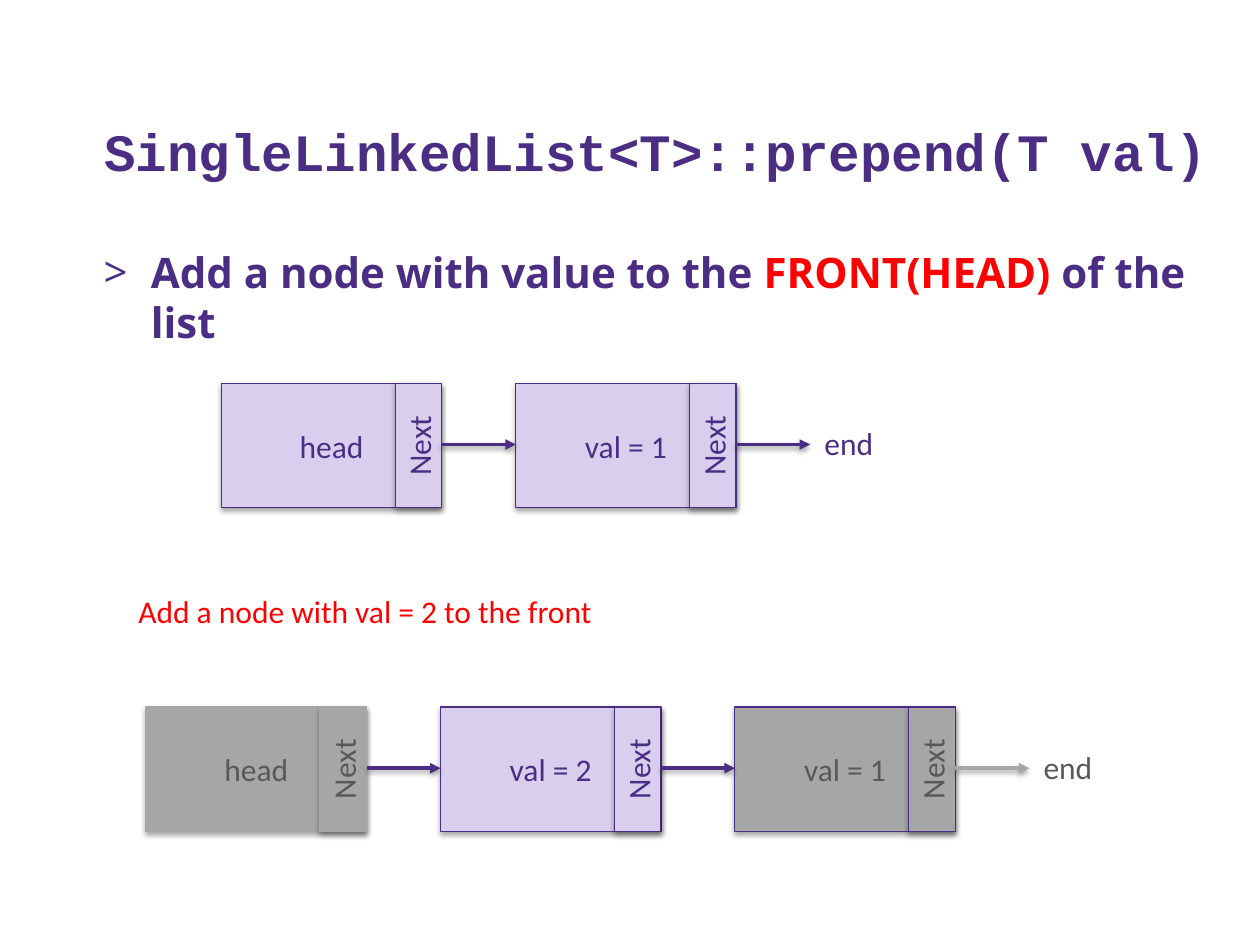
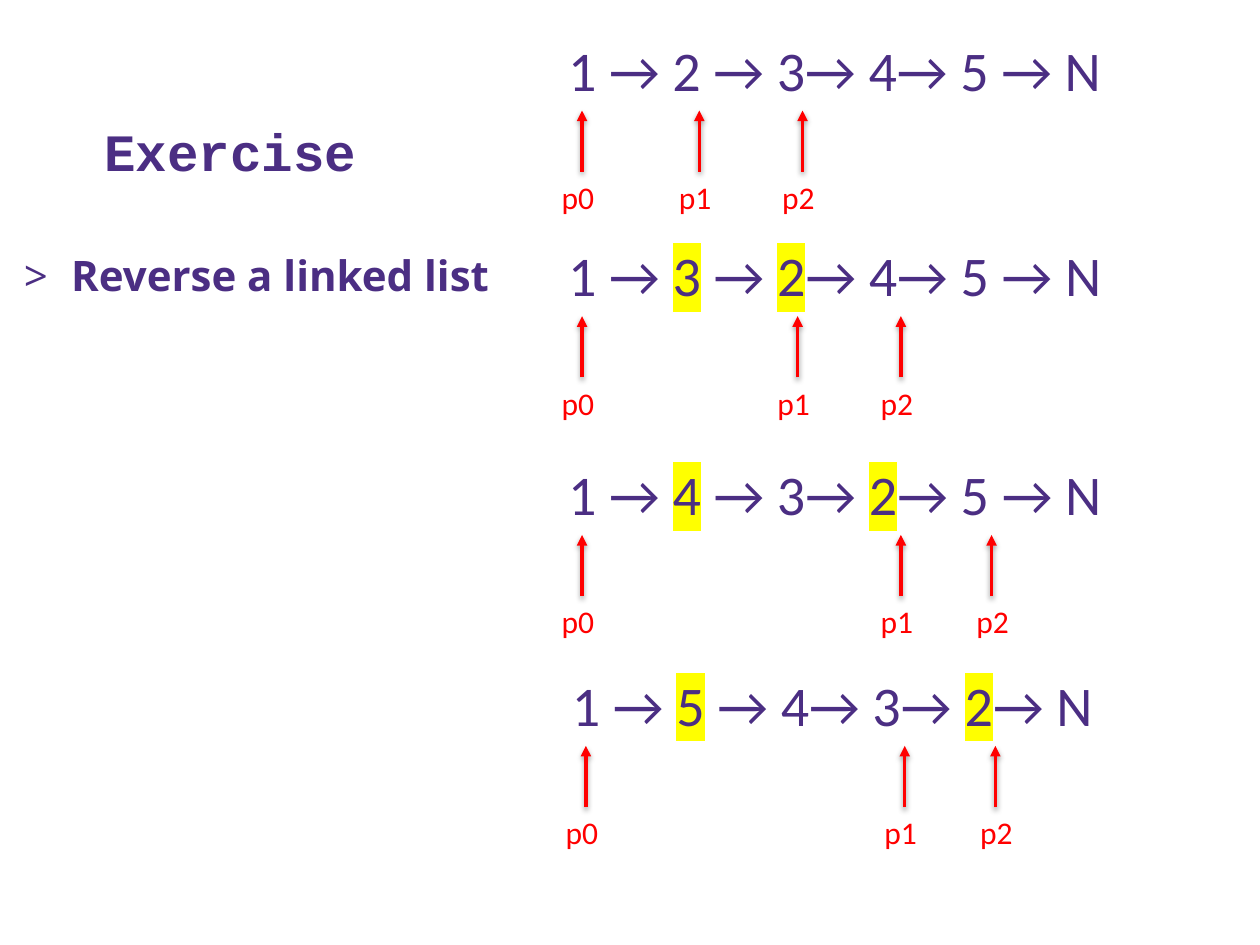
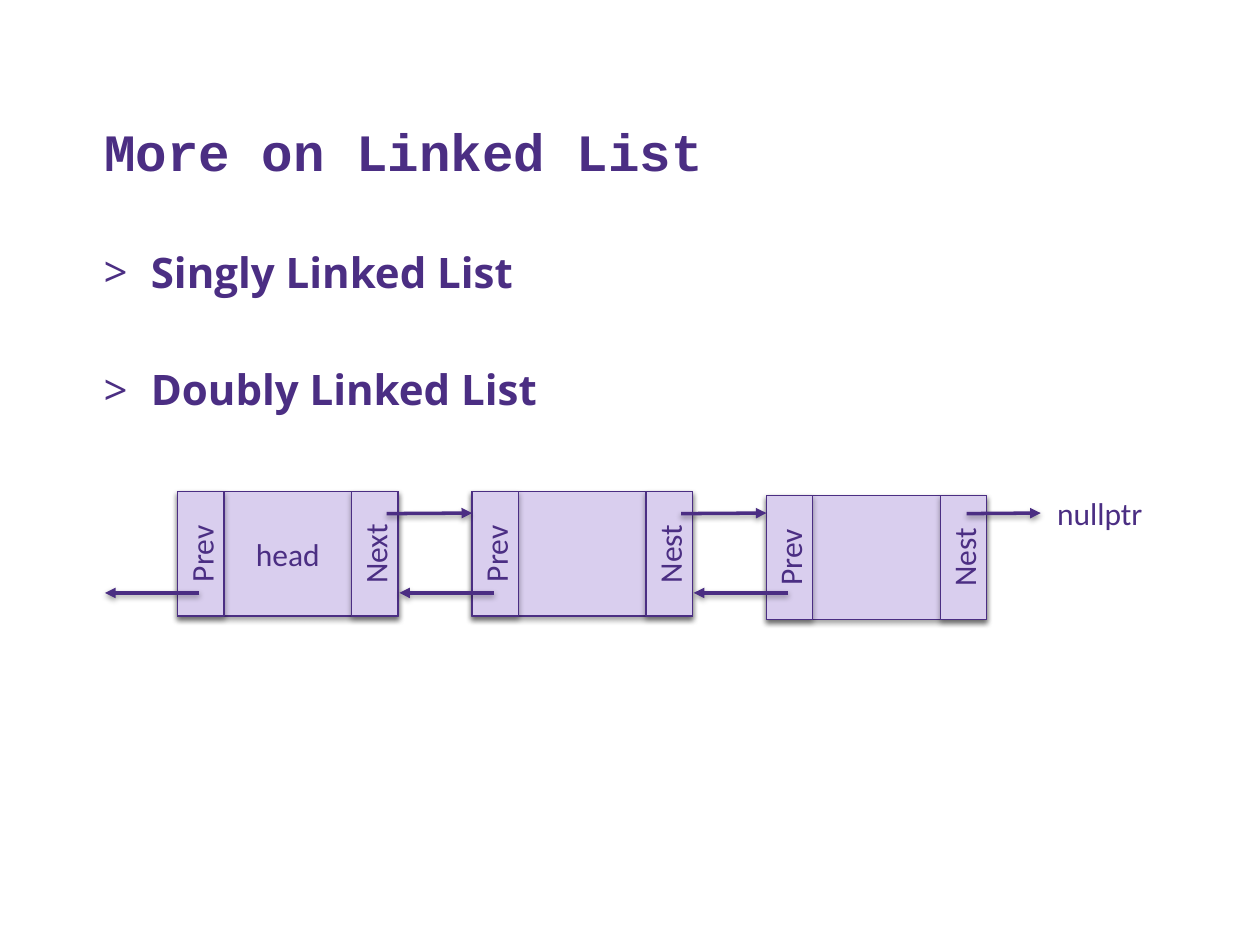
from dataclasses import dataclass

from lxml.etree import SubElement
from pptx import Presentation
from pptx.dml.color import RGBColor
from pptx.enum.shapes import MSO_CONNECTOR, MSO_SHAPE
from pptx.enum.text import MSO_ANCHOR, MSO_AUTO_SIZE, PP_ALIGN
from pptx.oxml.ns import qn
from pptx.util import Pt


@dataclass(frozen=True)
class Theme:
    purple: str = "4B2E83"
    lilac: str = "D9CEEE"
    red: str = "FF0000"
    yellow: str = "FFFF00"
    gray: str = "A6A6A6"
    dark_gray: str = "595959"
    title_font: str = "Courier New"
    list_font: str = "Open Sans"
    label_font: str = "Calibri"
    title_size: int = 30
    list_size: int = 24
    label_size: int = 18
    sequence_size: int = 32
    edge: float = 0.75
    arrow: float = 2


theme = Theme()


def write(para, text, size, ink, font=theme.label_font, bold=False, highlight=None):
    """Add text as runs; parts between bars are highlighted, or red without a highlight."""
    for index, part in enumerate(text.split("|")):
        marked = index % 2 == 1
        span = para.add_run()
        span.text = part
        span.font.size = Pt(size)
        span.font.bold = bold
        color = theme.red if marked and not highlight else ink
        span.font.fill.solid()
        span.font.fill.fore_color.rgb = RGBColor.from_string(color)
        if marked and highlight:
            mark = SubElement(span.font._element, qn("a:highlight"))
            SubElement(mark, qn("a:srgbClr"), val=highlight)
        span.font.name = font


deck = Presentation()
deck.slide_width, deck.slide_height = Pt(720), Pt(540)

# Titles and lists: title, bullets, left and top of the list
outlines = [
    ("SingleLinkedList<T>::prepend(T val)",
     ["Add a node with value to the |FRONT(HEAD)| of the list"], 52, 137),
    ("Exercise", ["Reverse a linked list"], 6.5, 139),
    ("More on Linked List", ["Singly Linked List", "Doubly Linked List"], 52, 137),
]
for heading, bullets, left, top in outlines:
    page = deck.slides.add_slide(deck.slide_layouts[1])
    title, body = page.placeholders
    title.left, title.top, title.width, title.height = Pt(52.5), Pt(29.5), Pt(645), Pt(78)
    title.text_frame.vertical_anchor = MSO_ANCHOR.BOTTOM
    title.text_frame.auto_size = MSO_AUTO_SIZE.NONE
    para = title.text_frame.paragraphs[0]
    para.alignment = PP_ALIGN.LEFT
    write(para, heading, theme.title_size, theme.purple, theme.title_font, True)

    body.left, body.top, body.width, body.height = Pt(left), Pt(top), Pt(645), Pt(316)
    body.text_frame.auto_size = MSO_AUTO_SIZE.NONE
    for index, bullet in enumerate(bullets):
        para = body.text_frame.add_paragraph() if index else body.text_frame.paragraphs[0]
        props = para._p.get_or_add_pPr()
        props.set("marL", str(Pt(27)))
        props.set("indent", str(Pt(-27)))
        SubElement(props, qn("a:buFont"), typeface=theme.list_font)
        SubElement(props, qn("a:buChar"), char=">")
        para.space_before = Pt(38.5 if index else 0)
        write(para, bullet, theme.list_size, theme.purple, theme.list_font, True)

prepend_page, exercise_page, doubly_page = deck.slides
node_width, node_height, strip = 126, 71, 26.6
node_step, link = 168.2, 42.3
boxes, arrows, labels = [], [], []

# Prepend: the list before and after the new node
active = (theme.lilac, theme.purple, theme.purple)
faded = (theme.gray, theme.dark_gray, theme.purple)
faded_head = (theme.gray, theme.dark_gray, theme.gray)
lists = [
    (126.5, 219, [("head", active), ("val = 1", active)], theme.purple, theme.purple),
    (83.5, 404, [("head", faded_head), ("val = 2", active), ("val = 1", faded)],
     theme.gray, theme.dark_gray),
]
for first, top, nodes, last_color, end_ink in lists:
    middle = top + node_height / 2
    for index, (text, look) in enumerate(nodes):
        left = first + index * node_step
        right = left + node_width
        boxes.append((prepend_page, left, top, text, None, "Next", look))
        color = last_color if index == len(nodes) - 1 else theme.purple
        arrows.append((prepend_page, right, middle - 0.5, right + link, middle - 0.5, color))
    labels.append((prepend_page, right + link + 1, middle - 15.5, 42.5, "end",
                   theme.label_size, end_ink))
labels.append((prepend_page, 72, 335, 277, "Add a node with val = 2 to the front",
               theme.label_size, theme.red))

# Exercise: each step of the reversal with pointers p0, p1 and p2
steps = [
    (317.5, 16.5, 334, "1 → 2 → 3→ 4→ 5 → N", (332.6, 399.6, 458.6), 18.7),
    (317.5, 134, 334, "1 → |3| → |2|→ 4→ 5 → N", (332.6, 455.8, 514.8), 18.7),
    (317.5, 259, 334, "1 → |4| → 3→ |2|→ 5 → N", (332.6, 514.8, 566.6), 15.8),
    (319.7, 379.5, 327, "1 → |5| → 4→ 3→ |2|→ N", (334.8, 517, 568.8), 15.8),
]
for left, top, width, sequence, pointers, last_shift in steps:
    labels.append((exercise_page, left, top, width, sequence,
                   theme.sequence_size, theme.purple))
    tip, tail = top + 46.7, top + 81.7
    for index, x in enumerate(pointers):
        shift = last_shift if index == 2 else 18.7
        arrows.append((exercise_page, x, tail, x, tip, theme.red))
        labels.append((exercise_page, x - shift, tail, 33, f"p{index}",
                       theme.label_size, theme.red))

# Doubly linked list: links run forward above and backward below
doubly_nodes = [("head", "Next", 281, 6.5), ("", "Nest", 281, 6.5), ("", "Nest", 283, 11.5)]
for index, (text, after, top, inset) in enumerate(doubly_nodes):
    left = 101.5 + index * node_step
    start = left + node_width - inset
    reach = link if index == 2 else link + inset
    boxes.append((doubly_page, left, top, text, "Prev", after, active))
    arrows.append((doubly_page, start, 293.5, start + reach, 293.2, theme.purple))
    arrows.append((doubly_page, left + 12.5, 338.8, left - 41.5, 338.8, theme.purple))
labels.append((doubly_page, 597, 278.7, 64, "nullptr", theme.label_size, theme.purple))

# Nodes, each with upright strips at its sides
for page, left, top, text, before, after, (fill, ink, edge) in boxes:
    cells = [(left, top, node_width, node_height, text, 0)]
    for name, center in ((after, left + node_width - strip / 2), (before, left + strip / 2)):
        if name:
            cells.append((center - node_height / 2, top + (node_height - strip) / 2,
                          node_height, strip, name, 270))
    for x, y, width, height, name, turn in cells:
        box = page.shapes.add_shape(MSO_SHAPE.RECTANGLE, Pt(x), Pt(y), Pt(width), Pt(height))
        box.rotation = turn
        box.fill.solid()
        box.fill.fore_color.rgb = RGBColor.from_string(fill)
        box.line.color.rgb = RGBColor.from_string(edge)
        box.line.width = Pt(theme.edge)
        if name:
            box.text_frame.vertical_anchor = MSO_ANCHOR.MIDDLE
            para = box.text_frame.paragraphs[0]
            para.alignment = PP_ALIGN.CENTER
            write(para, name, theme.label_size, ink)

for page, x1, y1, x2, y2, color in arrows:
    arrow = page.shapes.add_connector(MSO_CONNECTOR.STRAIGHT, Pt(x1), Pt(y1), Pt(x2), Pt(y2))
    arrow.line.color.rgb = RGBColor.from_string(color)
    arrow.line.width = Pt(theme.arrow)
    SubElement(arrow.line._get_or_add_ln(), qn("a:tailEnd"), type="triangle")

for page, left, top, width, text, size, ink in labels:
    height = 46 if size == theme.sequence_size else 29
    box = page.shapes.add_textbox(Pt(left), Pt(top), Pt(width), Pt(height))
    box.text_frame.word_wrap = False
    box.text_frame.auto_size = MSO_AUTO_SIZE.SHAPE_TO_FIT_TEXT
    write(box.text_frame.paragraphs[0], text, size, ink, highlight=theme.yellow)

deck.save("out.pptx")
